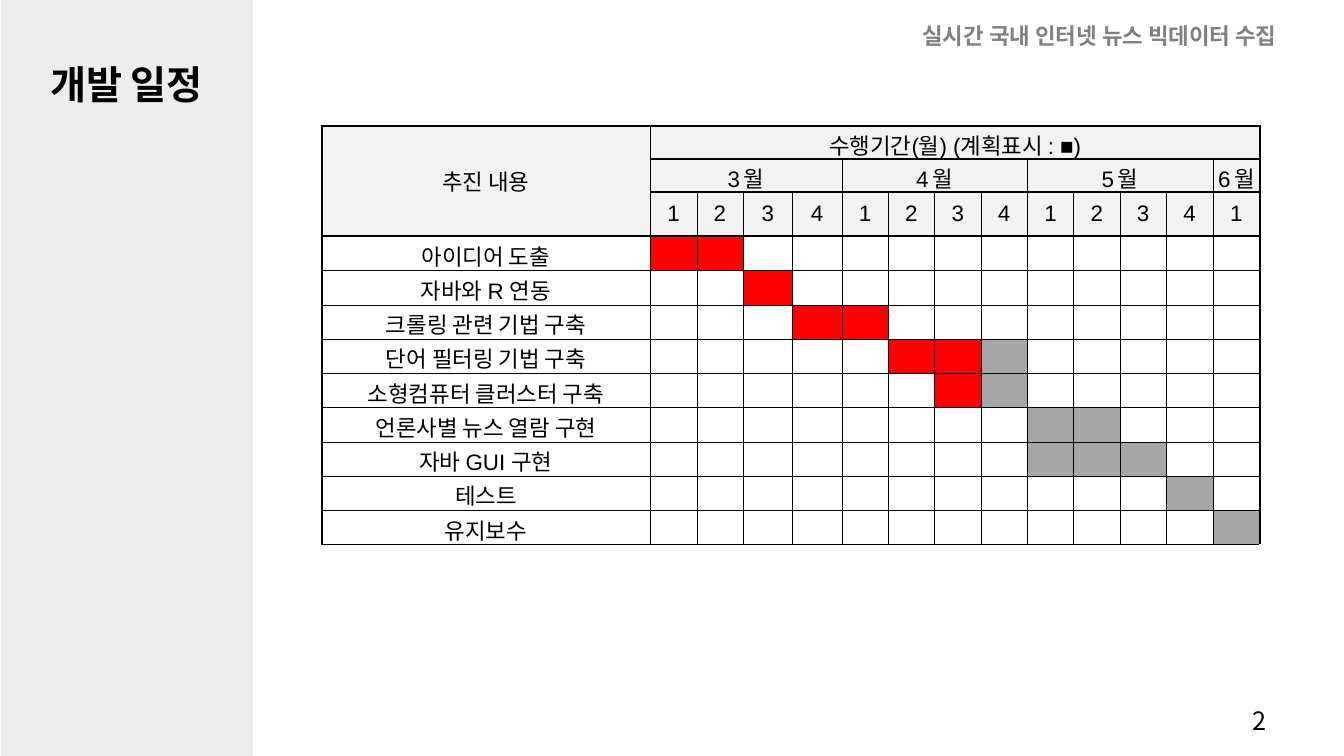
from lxml.etree import SubElement
from pptx import Presentation
from pptx.dml.color import RGBColor
from pptx.enum.shapes import MSO_SHAPE
from pptx.enum.text import MSO_ANCHOR, PP_ALIGN
from pptx.oxml.ns import qn
from pptx.util import Inches, Pt

COLORS = {
    "black": "000000", "white": "FFFFFF", "sidebar": "EDEDED", "header": "F2F2F2",
    "topic": "808080", "done": "FF0000", "planned": "A6A6A6",
}
THIN, MEDIUM, RIGHT_EDGE, THICK = 0.28, 1.41, 1.5, 1.98
HEADER_ROWS, WEEKS = 3, 13
MONTHS = [("3 월", 4), ("4 월", 4), ("5 월", 4), ("6 월", 1)]
# Task, first week, weeks done, weeks planned
TASKS = [
    ("아이디어 도출", 1, 2, 0),
    ("자바와 R 연동", 3, 1, 0),
    ("크롤링 관련 기법 구축", 4, 2, 0),
    ("단어 필터링 기법 구축", 6, 2, 1),
    ("소형컴퓨터 클러스터 구축", 7, 1, 1),
    ("언론사별 뉴스 열람 구현", 9, 0, 2),
    ("자바 GUI 구현", 9, 0, 3),
    ("테스트", 12, 0, 1),
    ("유지보수", 13, 0, 1),
]


def write(frame, text, size=16, font="Arial", color="black", bold=False,
          align=PP_ALIGN.LEFT, line_spacing=None, tracking=0):
    paragraph = frame.paragraphs[0]
    paragraph.alignment = align
    paragraph.line_spacing = line_spacing
    run = paragraph.add_run()
    run.text = text
    run.font.size, run.font.name, run.font.bold = Pt(size), font, bold
    run.font.color.rgb = RGBColor.from_string(COLORS[color])
    if tracking:
        run.font._element.set("spc", str(round(tracking * 100)))


def set_borders(cell, **sides):
    """Draw each side (L, R, T, B) with its (width, colour)."""
    properties = cell._tc.get_or_add_tcPr()
    for position, side in enumerate("LRTB"):
        width, color = sides[side]
        line = properties.makeelement(qn(f"a:ln{side}"), {"w": str(Pt(width))})
        fill = SubElement(line, qn("a:solidFill"))
        SubElement(fill, qn("a:srgbClr"), val=COLORS[color])
        properties.insert(position, line)


presentation = Presentation()
presentation.slide_width, presentation.slide_height = Inches(13.33), Inches(7.5)
slide = presentation.slides.add_slide(presentation.slide_layouts[5])

sidebar = slide.shapes.add_shape(
    MSO_SHAPE.RECTANGLE, Inches(0.01), 0, Inches(2.5), Inches(7.5))
sidebar.shadow.inherit = False
sidebar.fill.solid()
sidebar.fill.fore_color.rgb = RGBColor.from_string(COLORS["sidebar"])
sidebar.line.fill.background()

title = slide.shapes.title
title.left, title.top = Inches(-0.05), Inches(0.55)
title.width, title.height = Inches(2.61), Inches(0.57)
title.text_frame.vertical_anchor = MSO_ANCHOR.TOP
write(title.text_frame, "개발 일정", size=28, font="Cabin", bold=True,
      align=PP_ALIGN.CENTER)
# Bring the title in front of the sidebar
sidebar._element.addnext(title._element)

page_number = slide.shapes.add_textbox(
    Inches(12.32), Inches(6.95), Inches(0.54), Inches(0.4))
page_number.text_frame.word_wrap = True
write(page_number.text_frame, "2", size=18, font="Noto Sans CJK KR")

column_widths = [3.26, 0.46, 0.46, 0.49, 0.49] + [0.46] * 8 + [0.47, 0.79]
row_heights = [0.32, 0.32, 0.44] + [0.34] * len(TASKS)
last_row, last_column = len(row_heights) - 1, WEEKS + 1
table = slide.shapes.add_table(
    len(row_heights), len(column_widths), Inches(3.19), Inches(1.25),
    Inches(sum(column_widths)), Inches(sum(row_heights))).table
table.first_row = table.horz_banding = False
for column, width in zip(table.columns, column_widths):
    column.width = Inches(width)
for row, height in zip(table.rows, row_heights):
    row.height = Inches(height)

texts = {(0, 0): "추진 내용", (0, 1): "수행기간(월) (계획표시 : ■)"}
fills = {}
table.cell(0, 0).merge(table.cell(HEADER_ROWS - 1, 0))
table.cell(0, 1).merge(table.cell(0, WEEKS))
table.cell(0, last_column).merge(table.cell(last_row, last_column))

first_week = 1
for month, week_count in MONTHS:
    texts[1, first_week] = month
    if week_count > 1:
        table.cell(1, first_week).merge(table.cell(1, first_week + week_count - 1))
    for week in range(week_count):
        texts[2, first_week + week] = str(week + 1)
    first_week += week_count

for row, (task, start, done, planned) in enumerate(TASKS, HEADER_ROWS):
    texts[row, 0] = task
    for week in range(start, start + done + planned):
        fills[row, week] = "done" if week < start + done else "planned"

# Widths of the horizontal rules, from the top edge to the bottom edge
rules = [MEDIUM] * HEADER_ROWS + [THICK] + [THIN] * (len(TASKS) - 1) + [MEDIUM]
for row in range(len(row_heights)):
    for column in range(len(column_widths)):
        cell = table.cell(row, column)
        spare = column == last_column
        cell.margin_left = cell.margin_right = Inches(0.03)
        cell.margin_top = cell.margin_bottom = Inches(0.03)
        cell.vertical_anchor = MSO_ANCHOR.MIDDLE
        if (row, column) in texts:
            if (row, column) == (1, WEEKS):
                cell.margin_left = cell.margin_right = 0
            write(cell.text_frame, texts[row, column], align=PP_ALIGN.CENTER,
                  tracking=-1.7 if row == 1 else 0)
        else:
            # Small empty lines keep the rows from growing
            cell.text_frame.paragraphs[0]._p.get_or_add_endParaRPr().set("sz", "1000")

        fill = "header" if row < HEADER_ROWS and not spare else fills.get((row, column))
        if fill:
            cell.fill.solid()
            cell.fill.fore_color.rgb = RGBColor.from_string(COLORS[fill])
        else:
            cell.fill.background()

        if spare:
            blank = (1, "white")
            set_borders(cell, L=(RIGHT_EDGE, "black"), R=blank, T=blank, B=blank)
        else:
            set_borders(
                cell,
                L=(MEDIUM if column == 0 else THIN, "black"),
                R=(RIGHT_EDGE if column == WEEKS else THIN, "black"),
                T=(rules[row], "black"),
                B=(rules[row + 1], "black"))

topic = slide.shapes.add_textbox(
    Inches(9.05), Inches(-0.02), Inches(4.28), Inches(0.49))
topic.text_frame.word_wrap = True
write(topic.text_frame, "실시간 국내 인터넷 뉴스 빅데이터 수집", font="Noto Sans CJK KR",
      color="topic", bold=True, line_spacing=1.7)

presentation.save("out.pptx")
